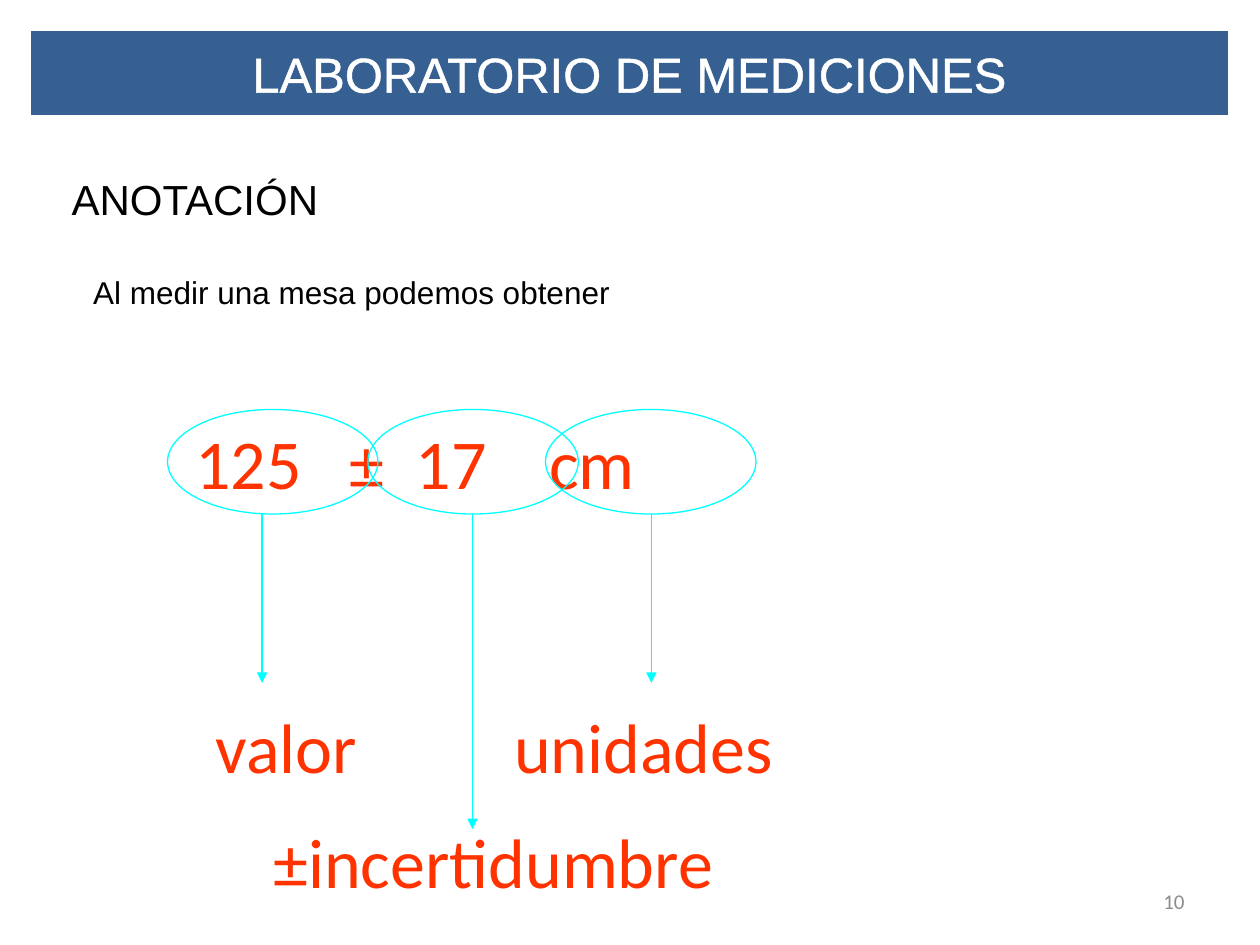
from dataclasses import dataclass

from lxml import etree
from pptx import Presentation
from pptx.dml.color import RGBColor
from pptx.enum import shapes, text
from pptx.oxml import ns
from pptx.util import Inches, Pt

BLACK, WHITE, RED, CYAN, BLUE, GREY = (
    "000000", "FFFFFF", "FF3300", "00FFFF", "376092", "8C8C8C")
RING_TOP, RING_W, RING_H = 3.25, 1.67, 0.83
BOX_FORM = {"margin_top": 0, "margin_right": 0, "margin_bottom": 0,
            "word_wrap": True,
            "auto_size": text.MSO_AUTO_SIZE.SHAPE_TO_FIT_TEXT}


@dataclass
class Label:
    words: str
    box: tuple
    lead: float = 0  # left inset
    size: int = 40
    font: str = "Calibri"
    color: str = RED
    tabs: tuple = ()
    form: tuple = ()


@dataclass
class Callout:
    left: float
    arrow_x: float
    arrow_end: float


LABELS = [
    Label("10", (7.17, 6.95, 2.33, 0.4), 0.1, 12, color=GREY, form=(
        ("margin_right", Inches(0.1)),
        ("vertical_anchor", text.MSO_ANCHOR.MIDDLE),
        ("auto_size", text.MSO_AUTO_SIZE.NONE))),
    Label("Al medir una mesa podemos obtener", (0.67, 2.17, 6.5, 0.3),
          0.07, 18, "Arial", BLACK),
    Label("125\t±\t17\tcm", (1.42, 3.33, 4.92, 0.67), 0.13,
          tabs=(1.22, 1.75, 2.81)),
    Label("valor", (1.58, 5.58, 1.58, 0.67), 0.13),
    Label("±incertidumbre", (1.67, 6.5, 4.92, 0.67), 0.5),
    Label("unidades", (3.83, 5.58, 2.75, 0.67), 0.25),
    Label("ANOTACIÓN", (0.47, 1.33, 2.42, 0.5), 0.1, 24, "Arial", BLACK, form=(
        ("margin_top", Inches(0.05)), ("margin_bottom", Inches(0.05)),
        ("margin_right", Inches(0.1)))),
]
CALLOUTS = [Callout(1.33, 2.08, 5.42), Callout(2.92, 3.75, 6.58),
            Callout(4.33, 5.17, 5.42)]


def rgb(code: str) -> RGBColor:
    return RGBColor.from_string(code)


def apply(target, form: dict) -> None:
    for name, value in form.items():
        setattr(target, name, value)


def style(run, size: int, font: str, color: str) -> None:
    apply(run.font, {"size": Pt(size), "name": font})
    run.font.color.rgb = rgb(color)


def stroke(shape, color: str, width: float) -> None:
    shape.line.color.rgb = rgb(color)
    shape.line.width = Pt(width)


def add_label(slide, label: Label):
    box = slide.shapes.add_textbox(*map(Inches, label.box))
    frame = box.text_frame
    apply(frame, BOX_FORM | {"margin_left": Inches(label.lead)}
          | dict(label.form))
    para = frame.paragraphs[0]
    run = para.add_run()
    run.text = label.words
    style(run, label.size, label.font, label.color)
    if label.tabs:
        stops = etree.SubElement(para._p.get_or_add_pPr(), ns.qn("a:tabLst"))
        for stop in label.tabs:
            etree.SubElement(stops, ns.qn("a:tab"),
                             pos=str(Inches(stop)), algn="l")
    return box


def add_callout(slide, item: Callout) -> None:
    group = slide.shapes.add_group_shape()
    ring = group.shapes.add_shape(
        shapes.MSO_SHAPE.OVAL,
        *map(Inches, (item.left, RING_TOP, RING_W, RING_H)))
    ring.shadow.inherit = False
    ring.fill.background()
    stroke(ring, CYAN, 0.75)
    ends = item.arrow_x, RING_TOP + RING_H, item.arrow_x, item.arrow_end
    arrow = group.shapes.add_connector(
        shapes.MSO_CONNECTOR.STRAIGHT, *map(Inches, ends))
    stroke(arrow, CYAN, 0.75)
    etree.SubElement(arrow.line._get_or_add_ln(), ns.qn("a:tailEnd"),
                     type="triangle")
    etree.SubElement(arrow._element.spPr, ns.qn("a:effectLst"))


def set_title(slide, words: str) -> None:
    title = slide.shapes.title
    apply(title, {"left": Inches(0.23), "top": Inches(0.23),
                  "width": Inches(9.53), "height": Inches(0.7)})
    title.fill.solid()
    title.fill.fore_color.rgb = rgb(BLUE)
    stroke(title, WHITE, 2)
    apply(title.text_frame, {"vertical_anchor": text.MSO_ANCHOR.MIDDLE,
                             "auto_size": text.MSO_AUTO_SIZE.NONE,
                             "word_wrap": True})
    para = title.text_frame.paragraphs[0]
    para.alignment = text.PP_ALIGN.CENTER
    run = para.add_run()
    run.text = words
    style(run, 28, "Arial", WHITE)
    edge = etree.Element(ns.qn("a:ln"), w=str(Pt(1.45)))
    fill = etree.SubElement(edge, ns.qn("a:solidFill"))
    etree.SubElement(fill, ns.qn("a:srgbClr"), val=WHITE)
    run._r.get_or_add_rPr().insert(0, edge)


def main() -> None:
    deck = Presentation()
    apply(deck, {"slide_width": Inches(10), "slide_height": Inches(7.5)})
    slide = deck.slides.add_slide(deck.slide_layouts[5])
    set_title(slide, "LABORATORIO DE MEDICIONES")
    number, *_ = [add_label(slide, label) for label in LABELS]
    number.text_frame.paragraphs[0].alignment = text.PP_ALIGN.RIGHT
    for item in CALLOUTS:
        add_callout(slide, item)
    deck.save("out.pptx")


if __name__ == "__main__":
    main()
